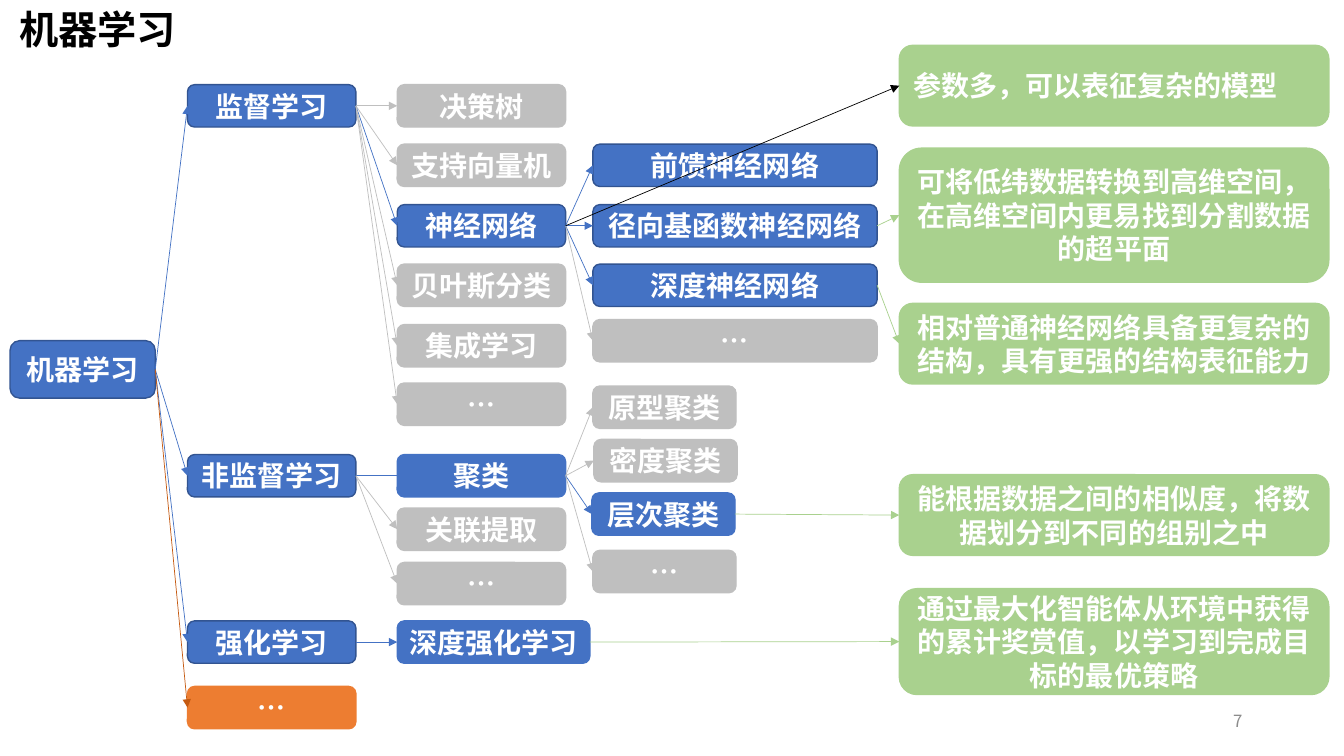
from dataclasses import dataclass
from functools import partial

from lxml import etree
from pptx import Presentation
from pptx.dml.color import RGBColor
from pptx.enum import shapes, text
from pptx.oxml import ns
from pptx.util import Inches, Pt


@dataclass(frozen=True)
class Skin:
    fill: str
    edge: str
    wire: str


@dataclass(frozen=True)
class Theme:
    font: str = "Noto Sans CJK SC"
    title: int = 28
    body: int = 20
    page: int = 12
    edge: float = 1
    wire: float = 0.5
    black: str = "000000"
    white: str = "FFFFFF"
    dim: str = "8C8C8C"
    core: Skin = Skin("4472C4", "325491", "4472C4")
    blue: Skin = Skin("4472C4", "4472C4", "4472C4")
    grey: Skin = Skin("BFBFBF", "BFBFBF", "BFBFBF")
    warm: Skin = Skin("ED7D31", "ED7D31", "C55A11")
    green: Skin = Skin("A9D18E", "A9D18E", "A9D18E")
    trait: Skin = Skin("A9D18E", "A9D18E", "000000")


@dataclass(frozen=True)
class Node:
    """A box of the tree; its skin also colours the arrow that leads to it."""
    label: str
    y: float
    skin: Skin
    kids: tuple = ()
    x: float = 0.1
    w: float = 1.67
    h: float = 0.42
    reach: float = 0  # how far the arrow runs into the box
    align: text.PP_ALIGN = text.PP_ALIGN.CENTER


THEME = Theme()
CORE, BLUE, GREY, GREEN = THEME.core, THEME.blue, THEME.grey, THEME.green

Branch = partial(Node, x=1.86)
Topic = partial(Node, x=3.94)
Net = partial(Node, x=5.88, w=2.82)
Group = partial(Node, x=5.88, w=1.42)
Note = partial(Node, x=8.92, w=4.26, h=0.8, skin=GREEN)

TREE = Node("机器学习", 3.38, CORE, w=1.44, h=0.57, kids=(
    Branch("监督学习", 0.84, CORE, (
        Topic("决策树", 0.84, GREY),
        Topic("支持向量机", 1.43, GREY),
        Topic("神经网络", 2.03, CORE, (
            Net("前馈神经网络", 1.43, CORE),
            Net("径向基函数神经网络", 2.03, CORE, (
                Note("可将低纬数据转换到高维空间，在高维空间内更易找到分割数据的超平面",
                     1.47, h=1.33),)),
            Net("深度神经网络", 2.62, CORE, (
                Note("相对普通神经网络具备更复杂的结构，具有更强的结构表征能力", 3.01),)),
            Net("…", 3.17, GREY),
            Note("参数多，可以表征复杂的模型", 0.45, skin=THEME.trait,
                 align=text.PP_ALIGN.LEFT))),
        Topic("贝叶斯分类", 2.62, GREY),
        Topic("集成学习", 3.22, GREY),
        Topic("…", 3.8, GREY))),
    Branch("非监督学习", 4.51, CORE, (
        Topic("聚类", 4.51, BLUE, reach=0.13, kids=(
            Group("原型聚类", 3.83, GREY),
            Group("密度聚类", 4.36, GREY, x=5.89),
            Group("层次聚类", 4.89, BLUE, x=5.87, kids=(
                Note("能根据数据之间的相似度，将数据划分到不同的组别之中", 4.71),)),
            Group("…", 5.46, GREY))),
        Topic("关联提取", 5.04, GREY),
        Topic("…", 5.58, GREY))),
    Branch("强化学习", 6.16, CORE, (
        Topic("深度强化学习", 6.16, BLUE, w=1.91, kids=(
            Note("通过最大化智能体从环境中获得的累计奖赏值，以学习到完成目标的最优策略",
                 5.84, h=1.05),)),)),
    Branch("…", 6.81, THEME.warm)))


def rgb(code: str) -> RGBColor:
    return RGBColor.from_string(code)


def place(item, x: float, y: float, w: float, h: float) -> None:
    item.left, item.top = Inches(x), Inches(y)
    item.width, item.height = Inches(w), Inches(h)


def write(frame, words: str, size: int, tint: str, bold: bool, align) -> None:
    frame.text = words
    para = frame.paragraphs[0]
    para.alignment = align
    run = para.runs[0]
    run.font.name, run.font.size, run.font.bold = THEME.font, Pt(size), bold
    run.font.color.rgb = rgb(tint)
    props = run._r.get_or_add_rPr()
    props.set("lang", "zh-CN")
    etree.SubElement(props, ns.qn("a:ea"), typeface=THEME.font)


def grow(slide, node: Node, up=None) -> list:
    """Draw a node and all below it; return (parent, child, node) for each arrow."""
    box = slide.shapes.add_shape(
        shapes.MSO_SHAPE.ROUNDED_RECTANGLE,
        *map(Inches, (node.x, node.y, node.w, node.h)))
    box.shadow.inherit = False
    box.fill.solid()
    box.fill.fore_color.rgb = rgb(node.skin.fill)
    box.line.color.rgb = rgb(node.skin.edge)
    box.line.width = Pt(THEME.edge)
    frame = box.text_frame
    frame.vertical_anchor = text.MSO_ANCHOR.MIDDLE
    frame.word_wrap = node.h > 0.5
    write(frame, node.label, THEME.body, THEME.white, True, node.align)
    wires = [(up, box, node)] if up is not None else []
    for kid in node.kids:
        wires += grow(slide, kid, box)
    return wires


def link(slide, up, box, node: Node) -> None:
    """Draw an arrow from the parent's right side to the child's left side."""
    wire = slide.shapes.add_connector(
        shapes.MSO_CONNECTOR.STRAIGHT,
        up.left + up.width, up.top + up.height // 2,
        box.left + Inches(node.reach), box.top + box.height // 2)
    wire.begin_connect(up, 3)
    if not node.reach:
        wire.end_connect(box, 1)
    wire.line.color.rgb = rgb(node.skin.wire)
    wire.line.width = Pt(THEME.wire)
    etree.SubElement(wire.line._get_or_add_ln(), ns.qn("a:tailEnd"), type="triangle")
    etree.SubElement(wire._element.spPr, ns.qn("a:effectLst"))


def main() -> None:
    deck = Presentation()
    deck.slide_width, deck.slide_height = Inches(13.33), Inches(7.5)
    slide = deck.slides.add_slide(deck.slide_layouts[5])

    title = slide.shapes.title
    place(title, 0.09, 0, 1.77, 0.57)
    frame = title.text_frame
    frame.word_wrap = False
    frame.auto_size = text.MSO_AUTO_SIZE.SHAPE_TO_FIT_TEXT
    frame.vertical_anchor = text.MSO_ANCHOR.TOP
    write(frame, "机器学习", THEME.title, THEME.black, True, text.PP_ALIGN.LEFT)

    page = slide.shapes.add_textbox(*map(Inches, (9.42, 6.95, 3, 0.4)))
    page.text_frame.word_wrap = True
    page.text_frame.vertical_anchor = text.MSO_ANCHOR.MIDDLE
    write(page.text_frame, "7", THEME.page, THEME.dim, False, text.PP_ALIGN.RIGHT)

    for up, box, node in grow(slide, TREE):
        link(slide, up, box, node)
    deck.save("out.pptx")


if __name__ == "__main__":
    main()
